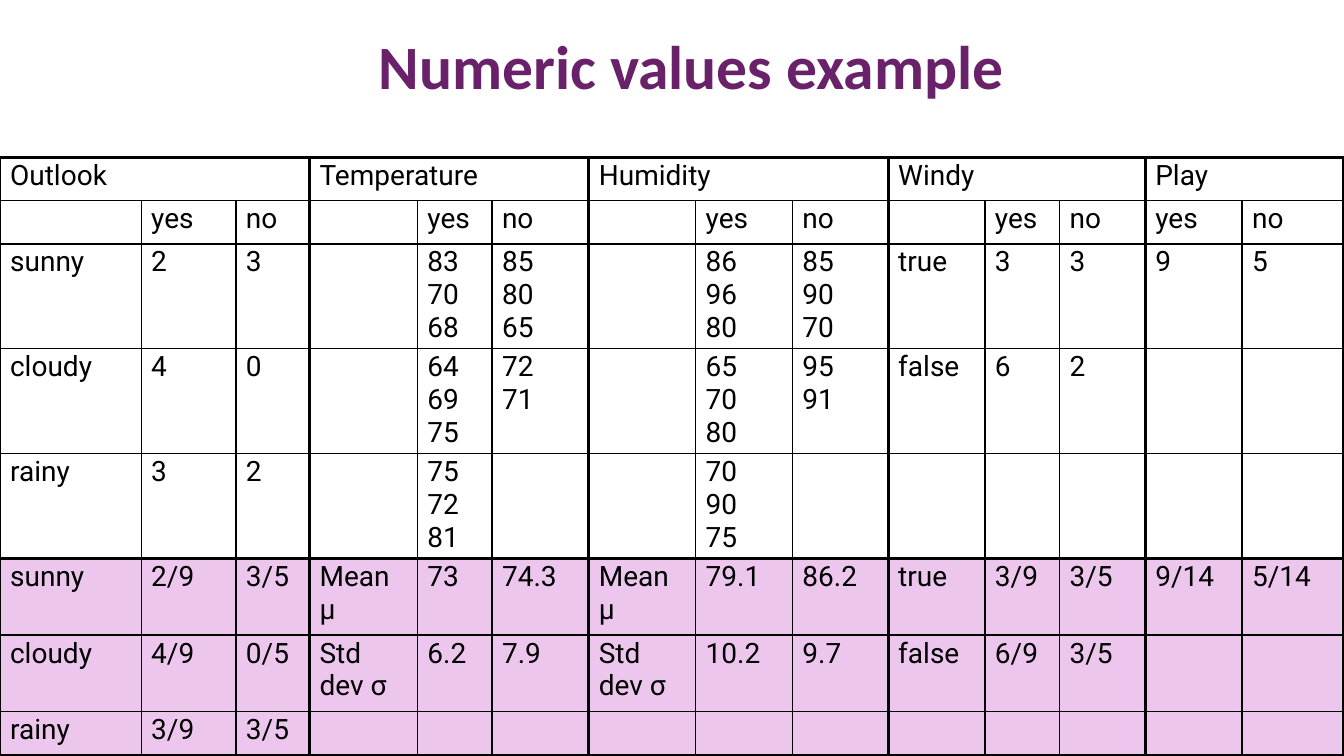
from dataclasses import dataclass
from itertools import accumulate

from lxml.etree import SubElement as Sub
from pptx import Presentation as Deck
from pptx.dml.color import RGBColor as Color
from pptx.enum.text import MSO_ANCHOR as Anchor
from pptx.oxml.ns import qn
from pptx.util import Pt

PX = 9144


@dataclass(frozen=True)
class Theme:
    ink: str = "000000"
    plum: str = "69216A"
    pink: str = "EDC6ED"
    white: str = "FFFFFF"
    head: str = "Calibri"
    body: str = "Roboto"
    large: int = 44
    small: int = 20
    thin: float = 1
    thick: float = 2.25


THEME = Theme()
COLS = [140, 94, 73, 107, 74, 96, 106, 96, 95, 96, 74, 85, 96, 101]
ROWS = [43, 43, 99, 102, 99, 76, 76, 43]
HEADS = [("Outlook", 3), ("Temperature", 3), ("Humidity", 3), ("Windy", 3), ("Play", 2)]
CELLS = [
    "|yes|no||yes|no||yes|no||yes|no|yes|no",
    "sunny|2|3||83;70;68|85;80;65||86;96;80|85;90;70|true|3|3|9|5",
    "cloudy|4|0||64;69;75|72;71||65;70;80|95;91|false|6|2||",
    "rainy|3|2||75;72;81|||70;90;75||||||",
    "sunny|2/9|3/5|Mean μ|73|74.3|Mean μ|79.1|86.2|true|3/9|3/5|9/14|5/14",
    "cloudy|4/9|0/5|Std dev σ|6.2|7.9|Std dev σ|10.2|9.7|false|6/9|3/5||",
    "rainy|3/9|3/5|||||||||||",
]
EDGES = list(accumulate([span for _, span in HEADS], initial=0))
RULES = [0, 2, 5, 8]


def write(frame, text, font, size, color, bold=False, space=None):
    """Fill a text frame, one paragraph for each semicolon-separated part."""
    for i, part in enumerate(text.split(";")):
        para = frame.add_paragraph() if i else frame.paragraphs[0]
        para.line_spacing = space
        run = para.add_run()
        run.text = part
        run.font.name, run.font.size, run.font.bold = font, Pt(size), bold
        run.font.color.rgb = Color.from_string(color)


def title(slide, text, left, top, width, height):
    """Add the slide heading."""
    frame = slide.shapes.add_textbox(left * PX, top * PX, width * PX, height * PX).text_frame
    frame.word_wrap = True
    frame.vertical_anchor = Anchor.TOP
    write(frame, text, THEME.head, THEME.large, THEME.plum, bold=True, space=0.9)


def border(cell, row, col, span):
    """Draw thick lines at group edges and thin lines elsewhere."""
    sides = {"L": col in EDGES, "R": col + span in EDGES,
             "T": row in RULES, "B": row + 1 in RULES}
    props = cell._tc.get_or_add_tcPr()
    for side, bold in sides.items():
        width = Pt(THEME.thick if bold else THEME.thin)
        line = Sub(props, qn(f"a:ln{side}"), w=str(width))
        Sub(Sub(line, qn("a:solidFill")), qn("a:srgbClr"), val=THEME.ink)


def style(cell, text, row, col, span=1):
    """Set the text, margins, borders and fill of one cell."""
    cell.margin_left = cell.margin_right = 10 * PX
    cell.margin_top = cell.margin_bottom = 2 * PX
    if text:
        write(cell.text_frame, text, THEME.body, THEME.small, THEME.ink)
    border(cell, row, col, span)
    cell.fill.solid()
    cell.fill.fore_color.rgb = Color.from_string(THEME.pink if row >= 5 else THEME.white)


def grid(slide, left, top):
    """Add the table of counts and statistics."""
    table = slide.shapes.add_table(len(ROWS), len(COLS), left * PX, top * PX,
                                   sum(COLS) * PX, sum(ROWS) * PX).table
    table.first_row = table.horz_banding = False
    for col, width in zip(table.columns, COLS):
        col.width = width * PX
    for row, height in zip(table.rows, ROWS):
        row.height = height * PX
    for col, (text, span) in zip(EDGES, HEADS):
        cell = table.cell(0, col)
        cell.merge(table.cell(0, col + span - 1))
        style(cell, text, 0, col, span)
    for row, line in enumerate(CELLS, 1):
        for col, text in enumerate(line.split("|")):
            style(table.cell(row, col), text, row, col)


def main():
    """Build and save the slide."""
    deck = Deck()
    deck.slide_width, deck.slide_height = 1333 * PX, 750 * PX
    slide = deck.slides.add_slide(deck.slide_layouts[6])
    title(slide, "Numeric values example", 366, 31, 1136, 47)
    grid(slide, 0, 156)
    deck.save("out.pptx")


if __name__ == "__main__":
    main()
